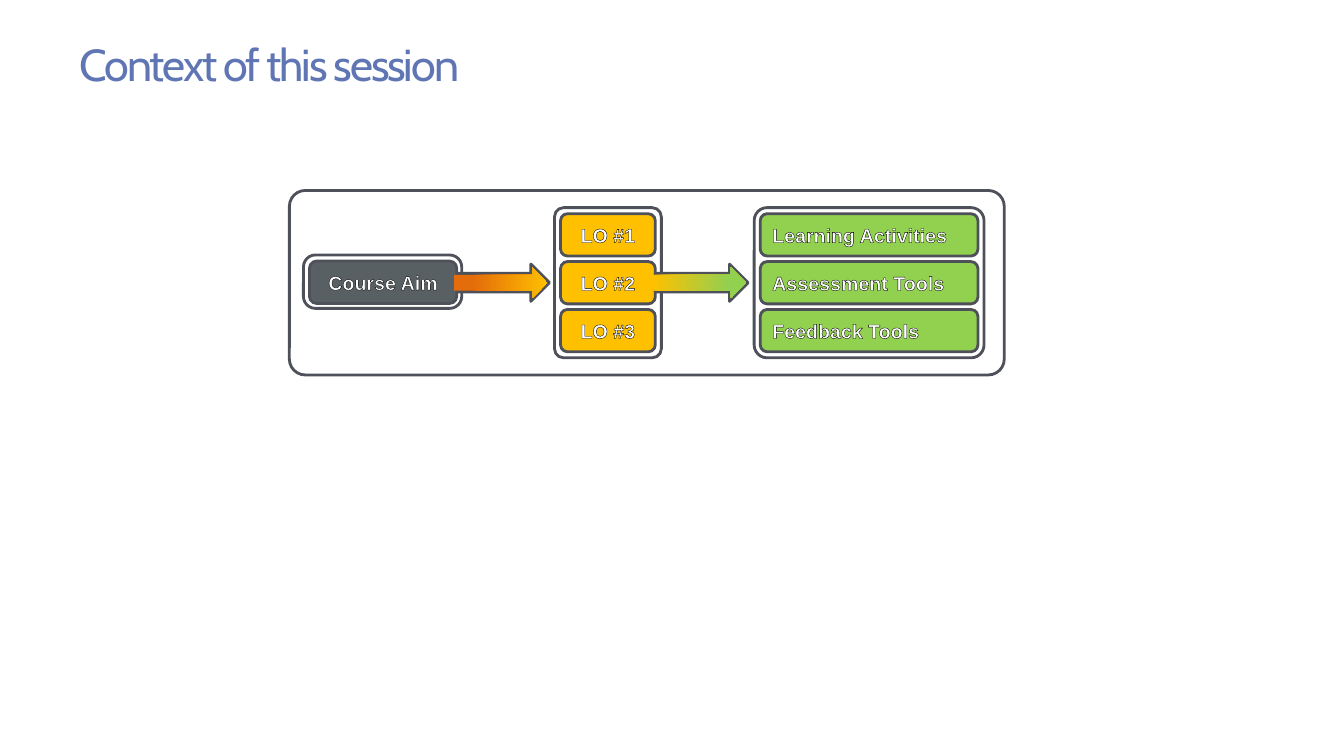
from dataclasses import dataclass

from lxml import etree
from pptx import Presentation
from pptx.dml.color import RGBColor
from pptx.enum.dml import MSO_THEME_COLOR
from pptx.enum.shapes import MSO_SHAPE
from pptx.enum.text import MSO_ANCHOR, PP_ALIGN
from pptx.oxml.ns import qn
from pptx.util import Inches, Pt

ROUNDED = MSO_SHAPE.ROUNDED_RECTANGLE
ARROW = MSO_SHAPE.RIGHT_ARROW
MIDDLE = MSO_ANCHOR.MIDDLE
LEFT, CENTER = PP_ALIGN.LEFT, PP_ALIGN.CENTER
ACCENT = MSO_THEME_COLOR.ACCENT_1


@dataclass(frozen=True)
class Theme:
    title: str = "6076B4"
    white: str = "FFFFFF"
    outline: str = "4E515A"
    text_edge: str = "000000"
    aim: str = "586064"
    outcome: str = "FFC000"
    tool: str = "92D050"
    orange: str = "E46C0A"
    title_font: str = "Cabin"
    label_font: str = "Arial"
    title_size: float = 32
    label_size: float = 14
    line_width: float = 2
    edge_width: float = 0.25


THEME = Theme()
ROW_TOP, ROW_STEP, ROW_HEIGHT = 2.12, 0.475, 0.42


def rgb(color):
    return RGBColor.from_string(color)


def set_attrs(target, values):
    for name, value in values.items():
        setattr(target, name, value)


def set_font(r, name, size, color, bold):
    set_attrs(r.font, {"name": name, "size": Pt(size), "bold": bold})
    r.font.color.rgb = rgb(color)


def outline_text(r):
    ln = etree.Element(qn("a:ln"), w=str(Pt(THEME.edge_width)))
    fill = etree.SubElement(ln, qn("a:solidFill"))
    etree.SubElement(fill, qn("a:srgbClr"), val=THEME.text_edge)
    r.font._element.insert(0, ln)


def add_shape(s, kind, box, fill, adj=None):
    sp = s.shapes.add_shape(kind, *map(Inches, box))
    sp.shadow.inherit = False
    sp.fill.solid()
    sp.fill.fore_color.rgb = rgb(fill)
    sp.line.color.rgb = rgb(THEME.outline)
    sp.line.width = Pt(THEME.line_width)
    if adj is not None:
        sp.adjustments[0] = adj
    return sp


def add_frame(s, box, adj=0.086):
    return add_shape(s, ROUNDED, box, THEME.white, adj)


def add_label(s, box, text, fill, align=CENTER):
    tf = add_shape(s, ROUNDED, box, fill).text_frame
    set_attrs(tf, {"word_wrap": True, "vertical_anchor": MIDDLE})
    p = tf.paragraphs[0]
    p.alignment = align
    r = p.add_run()
    r.text = text
    set_font(r, THEME.label_font, THEME.label_size, THEME.white, True)
    outline_text(r)


def add_column(s, left, width, labels, fill, align=CENTER):
    add_frame(s, (left - 0.06, 2.06, width + 0.12, 1.49))
    for i, text in enumerate(labels):
        box = (left, ROW_TOP + i * ROW_STEP, width, ROW_HEIGHT)
        add_label(s, box, text, fill, align)


def add_gradient_arrow(s, left, stops):
    add_shape(s, ARROW, (left + 0.03, 2.62, 0.92, 0.37), THEME.outline)
    sp = add_shape(s, ARROW, (left, 2.65, 0.93, 0.31), THEME.white)
    sp.line.fill.background()
    sp.adjustments[1] = 0.492
    sp.fill.gradient()
    sp.fill.gradient_angle = 0
    for stop, (position, color) in zip(sp.fill.gradient_stops, stops):
        stop.color.theme_color = ACCENT
        stop.color.rgb = rgb(color)
        stop.position = position


def add_title(s, text):
    sp = s.shapes.title
    set_attrs(sp, {"left": Inches(0.79), "top": Inches(0.36),
                   "width": Inches(11.89), "height": Inches(0.55)})
    tf = sp.text_frame
    set_attrs(tf, {"margin_left": 0, "margin_right": 0, "margin_top": 0,
                   "margin_bottom": 0, "vertical_anchor": MIDDLE,
                   "word_wrap": True})
    p = tf.paragraphs[0]
    p.alignment = LEFT
    r = p.add_run()
    r.text = text
    set_font(r, THEME.title_font, THEME.title_size, THEME.title, False)
    r.font._element.set("spc", "-150")


def main():
    prs = Presentation()
    set_attrs(prs, {"slide_width": Inches(13.33), "slide_height": Inches(7.5)})
    s = prs.slides.add_slide(prs.slide_layouts[5])
    add_title(s, "Context of this session")
    add_frame(s, (2.87, 1.89, 7.09, 1.83))
    tools = ("Learning Activities", "Assessment Tools", "Feedback Tools")
    add_column(s, 7.54, 2.16, tools, THEME.tool, LEFT)
    add_frame(s, (3.01, 2.53, 1.57, 0.53), 0.225)
    add_label(s, (3.07, 2.59, 1.46, ROW_HEIGHT), "Course Aim", THEME.aim)
    add_gradient_arrow(s, 4.5, ((0.2, THEME.orange), (1, THEME.outcome)))
    outcomes = [f"LO #{n}" for n in range(1, 4)]
    add_column(s, 5.56, 0.94, outcomes, THEME.outcome)
    add_gradient_arrow(s, 6.47, ((0, THEME.outcome), (0.82, THEME.tool)))
    prs.save("out.pptx")


if __name__ == "__main__":
    main()
